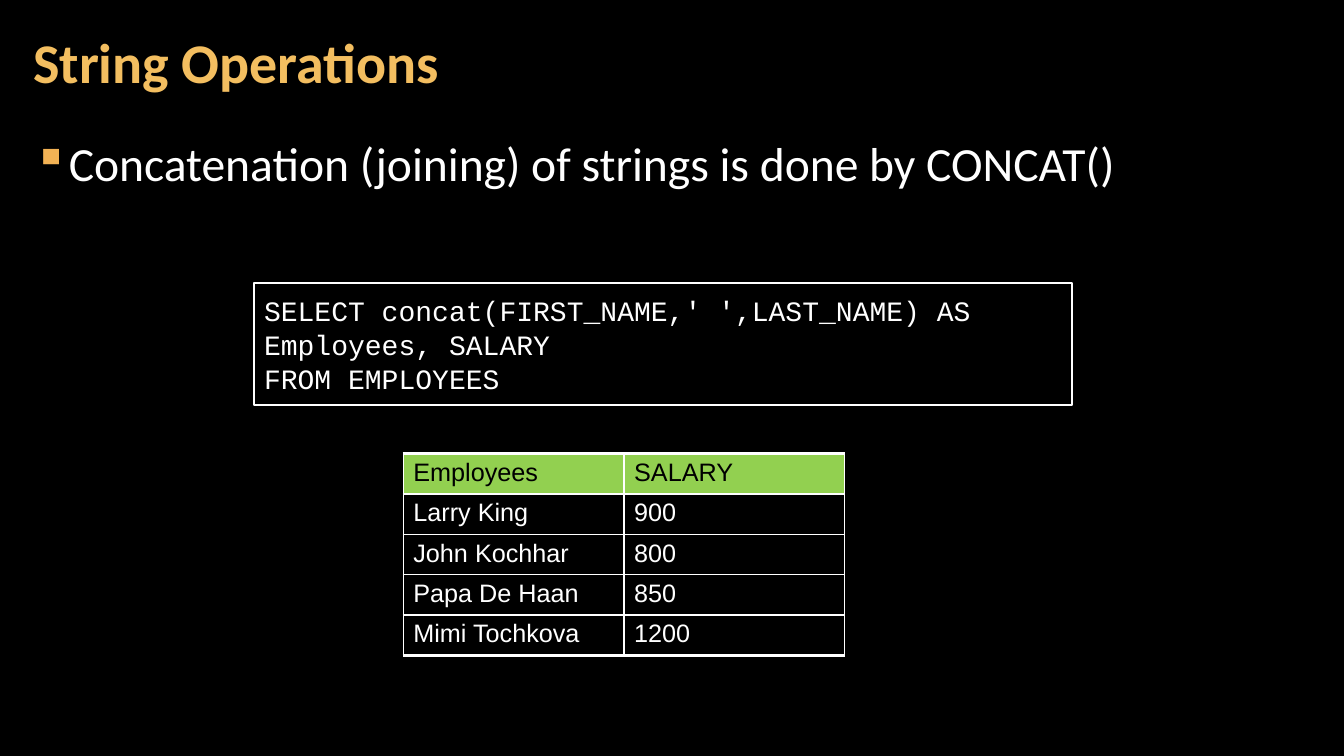
from dataclasses import dataclass

from lxml import etree
from pptx import Presentation
from pptx.dml.color import RGBColor
from pptx.enum.shapes import MSO_SHAPE
from pptx.enum.text import MSO_ANCHOR, PP_ALIGN
from pptx.oxml.ns import qn
from pptx.util import Inches, Pt

RECTANGLE = MSO_SHAPE.RECTANGLE
TOP, MIDDLE = MSO_ANCHOR.TOP, MSO_ANCHOR.MIDDLE
LEFT = PP_ALIGN.LEFT


@dataclass(frozen=True)
class Theme:
    background: str = "000000"
    text: str = "FFFFFF"
    title: str = "F3BE60"
    bullet: str = "F2B254"
    header_fill: str = "92D050"
    header_text: str = "000000"
    text_font: str = "Calibri"
    code_font: str = "Courier New"
    table_font: str = "Arial"
    title_size: int = 40
    body_size: int = 34
    code_size: int = 20
    table_size: int = 18
    thin: float = 1
    medium: float = 1.5
    thick: float = 2.25


def set_font(para, name, size, color, bold=False):
    font = para.font
    font.name, font.size, font.bold = name, Pt(size), bold
    font.color.rgb = RGBColor.from_string(color)


def set_frame(frame, anchor, side, top):
    """Wrap the text and set its anchor and inner margins in inches."""
    frame.word_wrap = True
    frame.vertical_anchor = anchor
    frame.margin_left = frame.margin_right = Inches(side)
    frame.margin_top = frame.margin_bottom = Inches(top)


def add_border(cell, side, width, color):
    """Draw one cell border; side is L, R, T or B."""
    properties = cell._tc.get_or_add_tcPr()
    line = etree.SubElement(properties, qn(f"a:ln{side}"), w=str(Pt(width)))
    fill = etree.SubElement(line, qn("a:solidFill"))
    etree.SubElement(fill, qn("a:srgbClr"), val=color)


class SlideBuilder:
    def __init__(self, page, theme):
        self.page = page
        self.theme = theme
        fill = page.background.fill
        fill.solid()
        fill.fore_color.rgb = RGBColor.from_string(theme.background)

    def add_text(self, text, left, top, width, height, anchor):
        box = self.page.shapes.add_textbox(
            Inches(left), Inches(top), Inches(width), Inches(height))
        set_frame(box.text_frame, anchor, 0.12, 0.04)
        para = box.text_frame.paragraphs[0]
        para.text = text
        return para

    def add_title(self, text, *place):
        theme = self.theme
        para = self.add_text(text, *place, MIDDLE)
        para.line_spacing = 0.9
        set_font(para, theme.text_font, theme.title_size, theme.title, bold=True)

    def add_bullet(self, text, *place):
        theme = self.theme
        para = self.add_text(text, *place, TOP)
        para.line_spacing = 1.05
        para.space_before = para.space_after = Pt(6)
        set_font(para, theme.text_font, theme.body_size, theme.text)
        properties = para._p.get_or_add_pPr()
        properties.set("marL", str(Inches(0.33)))
        properties.set("indent", str(-Inches(0.33)))
        color = etree.Element(qn("a:buClr"))
        etree.SubElement(color, qn("a:srgbClr"), val=theme.bullet)
        mark = etree.Element(qn("a:buChar"), char="▪")
        defaults = properties.find(qn("a:defRPr"))
        defaults.addprevious(color)
        defaults.addprevious(mark)

    def add_code(self, lines, left, top, width, height):
        theme = self.theme
        box = self.page.shapes.add_shape(
            RECTANGLE, Inches(left), Inches(top), Inches(width), Inches(height))
        box.shadow.inherit = False
        box.fill.solid()
        box.fill.fore_color.rgb = RGBColor.from_string(theme.background)
        box.line.color.rgb = RGBColor.from_string(theme.text)
        box.line.width = Pt(theme.medium)
        frame = box.text_frame
        set_frame(frame, MIDDLE, 0.1, 0.1)
        frame.text = "\n".join(lines)
        for para in frame.paragraphs:
            para.alignment = LEFT
            set_font(para, theme.code_font, theme.code_size, theme.text)

    def add_table(self, rows, left, top, column_width, row_height):
        columns = len(rows[0])
        table = self.page.shapes.add_table(
            len(rows), columns, Inches(left), Inches(top),
            Inches(column_width * columns), Inches(row_height * len(rows))).table
        table.first_row = table.horz_banding = False
        for column in table.columns:
            column.width = Inches(column_width)
        for index, values in enumerate(rows):
            table.rows[index].height = Inches(row_height)
            for column, value in enumerate(values):
                self.fill_cell(table.cell(index, column), value, index, len(rows))

    def fill_cell(self, cell, value, index, row_count):
        """Header cells are filled; thick rules frame the header and the end."""
        theme = self.theme
        is_header = index == 0
        above = theme.thick if index <= 1 else theme.thin
        below = theme.thick if index in (0, row_count - 1) else theme.thin
        widths = {"L": theme.thin, "R": theme.thin, "T": above, "B": below}
        for side, width in widths.items():
            add_border(cell, side, width, theme.text)
        if is_header:
            cell.fill.solid()
            cell.fill.fore_color.rgb = RGBColor.from_string(theme.header_fill)
        else:
            cell.fill.background()
        cell.text = value
        set_font(cell.text_frame.paragraphs[0], theme.table_font, theme.table_size,
                 theme.header_text if is_header else theme.text)


def main():
    deck = Presentation()
    deck.slide_width, deck.slide_height = Inches(13.33), Inches(7.5)
    slide = SlideBuilder(deck.slides.add_slide(deck.slide_layouts[6]), Theme())
    slide.add_title("String Operations", 0.21, 0.04, 10.47, 1.21)
    slide.add_bullet("Concatenation (joining) of strings is done by CONCAT()",
                     0.21, 1.26, 12.91, 6.09)
    slide.add_code(["SELECT concat(FIRST_NAME,' ',LAST_NAME) AS Employees, SALARY",
                    "FROM EMPLOYEES"], 2.52, 2.81, 8.11, 1.21)
    employees = [
        ("Employees", "SALARY"),
        ("Larry King", "900"),
        ("John Kochhar", "800"),
        ("Papa De Haan", "850"),
        ("Mimi Tochkova", "1200"),
    ]
    slide.add_table(employees, 4, 4.5, column_width=2.19, row_height=0.4)
    deck.save("out.pptx")


if __name__ == "__main__":
    main()
